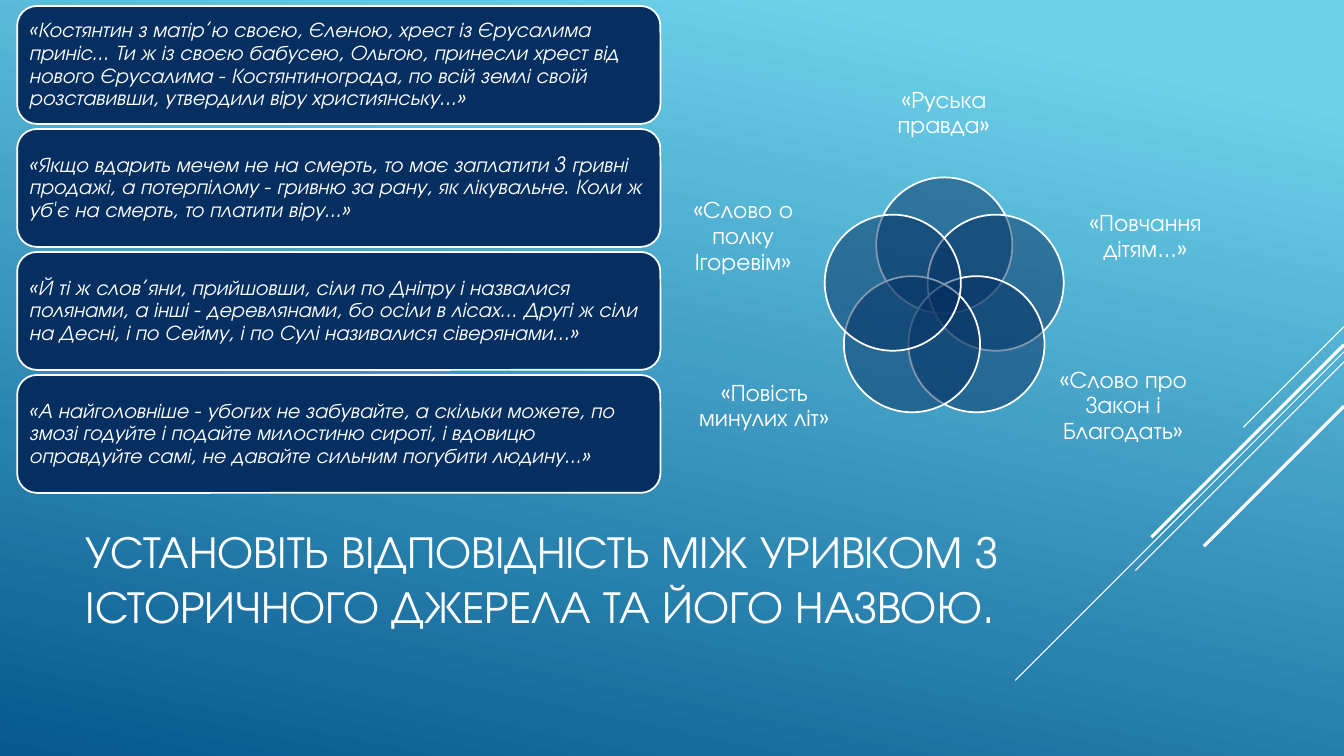
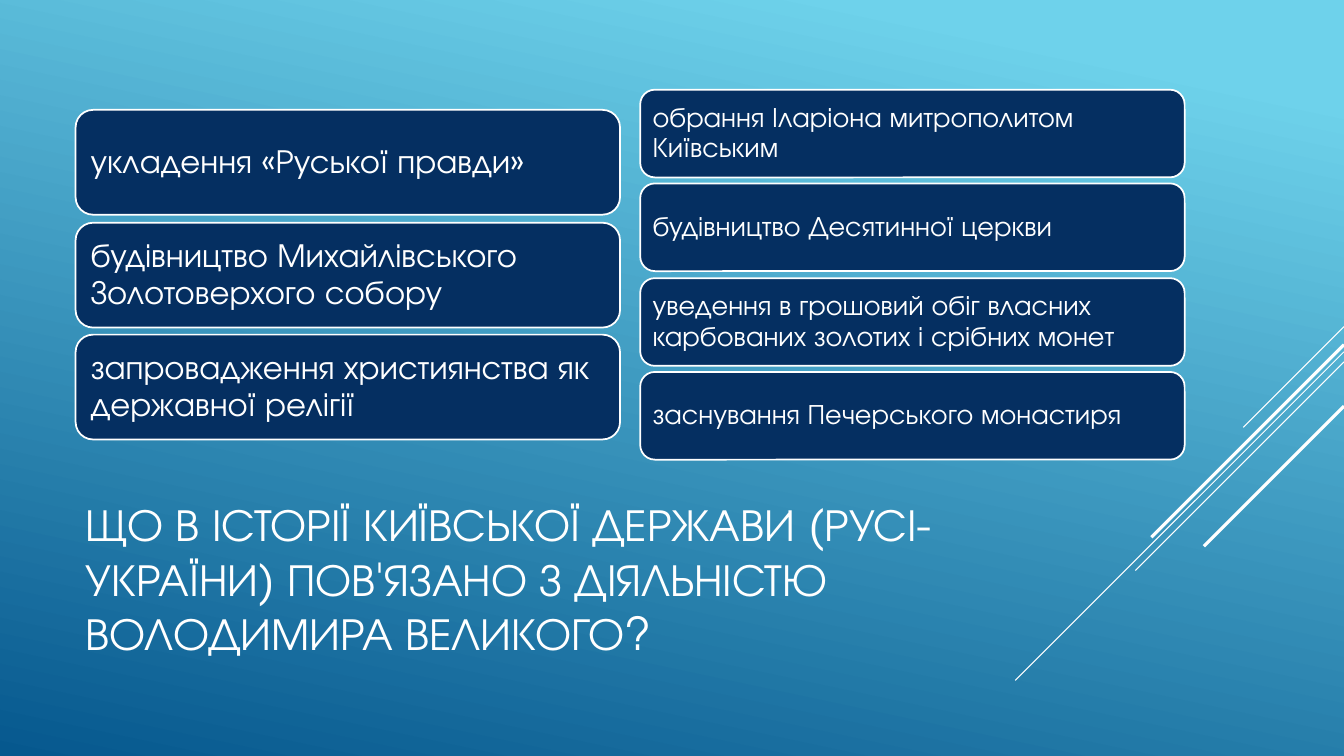
"""Build two quiz slides on the history of Kyivan Rus."""
from dataclasses import dataclass
from math import cos, radians, sin

from lxml import etree
from pptx import Presentation
from pptx.dml.color import RGBColor
from pptx.enum.shapes import MSO_CONNECTOR, MSO_SHAPE
from pptx.enum.text import MSO_ANCHOR, MSO_AUTO_SIZE, PP_ALIGN
from pptx.oxml.ns import qn
from pptx.presentation import Presentation as Deck
from pptx.shapes.autoshape import Shape
from pptx.slide import Slide, SlideLayout
from pptx.util import Emu, Pt

ROUNDED = MSO_SHAPE.ROUNDED_RECTANGLE
OVAL = MSO_SHAPE.OVAL
STRAIGHT = MSO_CONNECTOR.STRAIGHT
MIDDLE = MSO_ANCHOR.MIDDLE
NO_AUTOSIZE = MSO_AUTO_SIZE.NONE
LEFT = PP_ALIGN.LEFT
CENTER = PP_ALIGN.CENTER

EMU_PER_PX = 9144
SLIDE_WIDTH, SLIDE_HEIGHT = 1333, 750
TITLE_ONLY = 5
FIRST_RAY_ID = 101


@dataclass(frozen=True)
class Theme:
    """Colours, font and type sizes of the deck."""
    sky: RGBColor = RGBColor(0x6E, 0xD2, 0xEB)
    deep: RGBColor = RGBColor(0x06, 0x58, 0x8E)
    navy: RGBColor = RGBColor(0x05, 0x2F, 0x61)
    white: RGBColor = RGBColor(0xFF, 0xFF, 0xFF)
    font: str = "TeX Gyre Adventor"
    title_size: float = 32.4
    quote_size: float = 15
    label_size: float = 17
    large_size: float = 24
    medium_size: float = 20
    outline: float = 1.25
    line_spacing: float = 0.9
    gradient_angle: int = 258


@dataclass(frozen=True)
class Box:
    """A rectangle in px."""
    left: int
    top: int
    width: int
    height: int

    def emu(self) -> tuple[Emu, Emu, Emu, Emu]:
        """Return the rectangle in EMU."""
        return px(self.left), px(self.top), px(self.width), px(self.height)


@dataclass(frozen=True)
class Ray:
    """A diagonal line that falls leftwards from the right edge."""
    top: int
    reach: int
    weight: float


@dataclass(frozen=True)
class CardStack:
    """A column of cards spread evenly from the first to the last top."""
    left: int
    first_top: int
    last_top: int
    width: int
    height: int
    margin: int
    size: float
    texts: tuple[str, ...]
    italic: bool = False


@dataclass(frozen=True)
class Petal:
    """A label that belongs to one circle of the flower."""
    text: str
    label: Box


THEME = Theme()
TITLE_BOX = Box(75, 491, 933, 165)
RAYS = (
    Ray(324, 100, 0.75),
    Ray(349, 326, 0.75),
    Ray(359, 207, 0.75),
    Ray(342, 191, 2.25),
    Ray(403, 139, 2.25),
)

QUOTES = CardStack(17, 6, 372, 638, 117, 6, THEME.quote_size, (
    "«Костянтин з матір’ю своєю, Єленою, хрест із Єрусалима приніс... Ти ж із своєю "
    "бабусею, Ольгою, принесли хрест від нового Єрусалима - Костянтинограда, по всій "
    "землі своїй розставивши, утвердили віру християнську...»",
    "«Якщо вдарить мечем не на смерть, то має заплатити 3 гривні продажі, а потерпілому "
    "- гривню за рану, як лікувальне. Коли ж уб'є на смерть, то платити віру...»",
    "«Й ті ж слов’яни, прийшовши, сіли по Дніпру і назвалися полянами, а інші - "
    "деревлянами, бо осіли в лісах... Другі ж сіли на Десні, і по Сейму, і по Сулі "
    "називалися сіверянами...»",
    "«А найголовніше - убогих не забувайте, а скільки можете, по змозі годуйте і подайте "
    "милостиню сироті, і вдовицю оправдуйте самі, не давайте сильним погубити людину...»",
), italic=True)

CIRCLE_SIZE = 135
FLOWER_RADIUS = 54
FLOWER_LEFT, FLOWER_TOP = 869, 230
PETALS = (
    Petal("«Руська правда»", Box(858, 67, 156, 91)),
    Petal("«Повчання дітям...»", Box(1066, 186, 140, 98)),
    Petal("«Слово про Закон і Благодать»", Box(1044, 354, 140, 98)),
    Petal("«Повість минулих літ»", Box(688, 354, 140, 98)),
    Petal("«Слово о полку Ігоревім»", Box(667, 186, 140, 98)),
)

EVENTS = (
    CardStack(75, 109, 332, 540, 104, 10, THEME.large_size, (
        "укладення «Руської правди»",
        "будівництво Михайлівського Золотоверхого собору",
        "запровадження християнства як державної релігії",
    )),
    CardStack(635, 89, 369, 540, 87, 8, THEME.medium_size, (
        "обрання Іларіона митрополитом Київським",
        "будівництво Десятинної церкви",
        "уведення в грошовий обіг власних карбованих золотих і срібних монет",
        "заснування Печерського монастиря",
    )),
)


def px(length: int) -> Emu:
    """Turn px into EMU."""
    return Emu(length * EMU_PER_PX)


def write_text(shape: Shape, text: str, size: float, align: PP_ALIGN = LEFT,
               spacing: float = THEME.line_spacing, margin: int = 0,
               italic: bool = False) -> None:
    """Put one formatted paragraph in the vertical middle of a shape."""
    frame = shape.text_frame
    frame.text = text
    frame.word_wrap = True
    frame.auto_size = NO_AUTOSIZE
    frame.vertical_anchor = MIDDLE
    frame.margin_left = frame.margin_right = px(margin)
    frame.margin_top = frame.margin_bottom = px(margin)
    paragraph = frame.paragraphs[0]
    paragraph.alignment = align
    paragraph.line_spacing = spacing
    font = paragraph.font
    font.name = THEME.font
    font.size = Pt(size)
    font.italic = italic
    font.color.rgb = THEME.white


def add_outlined(slide: Slide, kind: MSO_SHAPE, box: Box) -> Shape:
    """Add a navy shape with a white outline."""
    shape = slide.shapes.add_shape(kind, *box.emu())
    shape.shadow.inherit = False
    shape.fill.solid()
    shape.fill.fore_color.rgb = THEME.navy
    shape.line.color.rgb = THEME.white
    shape.line.width = Pt(THEME.outline)
    return shape


def add_cards(slide: Slide, stack: CardStack) -> None:
    """Draw a column of text cards."""
    pitch = (stack.last_top - stack.first_top) / (len(stack.texts) - 1)
    for index, text in enumerate(stack.texts):
        top = stack.first_top + round(index * pitch)
        card = add_outlined(slide, ROUNDED, Box(stack.left, top, stack.width, stack.height))
        write_text(card, text, stack.size, margin=stack.margin, italic=stack.italic)


def add_flower(slide: Slide) -> None:
    """Draw the ring of overlapping circles and their labels."""
    for index, petal in enumerate(PETALS):
        angle = radians(index * 360 / len(PETALS))
        left = FLOWER_LEFT + round(FLOWER_RADIUS * sin(angle))
        top = FLOWER_TOP - round(FLOWER_RADIUS * cos(angle))
        circle = add_outlined(slide, OVAL, Box(left, top, CIRCLE_SIZE, CIRCLE_SIZE))
        color = circle.element.spPr.find(f"{qn('a:solidFill')}/{qn('a:srgbClr')}")
        etree.SubElement(color, qn("a:alpha")).set("val", "50000")
        label = slide.shapes.add_textbox(*petal.label.emu())
        write_text(label, petal.text, THEME.label_size, CENTER)


def add_master_rays(presentation: Deck, slide: Slide) -> None:
    """Draw the diagonal rays and hand them to the slide master."""
    for ray_id, ray in enumerate(RAYS, FIRST_RAY_ID):
        connector = slide.shapes.add_connector(
            STRAIGHT, px(SLIDE_WIDTH), px(ray.top),
            px(SLIDE_WIDTH - ray.reach), px(ray.top + ray.reach))
        connector.line.color.rgb = THEME.white
        connector.line.width = Pt(ray.weight)
        element = connector.element
        etree.SubElement(element.spPr, qn("a:effectLst"))
        element.nvCxnSpPr.cNvPr.set("id", str(ray_id))
        presentation.slide_master.shapes.element.append(element)


def prepare_layout(presentation: Deck) -> SlideLayout:
    """Set the shared background and the place of the title."""
    fill = presentation.slide_master.background.fill
    fill.gradient()
    fill.gradient_angle = THEME.gradient_angle
    for stop, color, position in zip(fill.gradient_stops, (THEME.sky, THEME.deep), (0.1, 1)):
        stop.color.rgb = color
        stop.position = position
    layout = presentation.slide_layouts[TITLE_ONLY]
    title = layout.placeholders[0]
    title.left, title.top, title.width, title.height = TITLE_BOX.emu()
    return layout


def add_titled_slide(presentation: Deck, layout: SlideLayout, title: str) -> Slide:
    """Add a slide with its title."""
    slide = presentation.slides.add_slide(layout)
    write_text(slide.shapes.title, title, THEME.title_size, spacing=1.0, margin=10)
    return slide


def main() -> None:
    """Build and save the deck."""
    presentation = Presentation()
    presentation.slide_width, presentation.slide_height = px(SLIDE_WIDTH), px(SLIDE_HEIGHT)
    layout = prepare_layout(presentation)

    sources = add_titled_slide(
        presentation, layout,
        "УСТАНОВІТЬ ВІДПОВІДНІСТЬ МІЖ УРИВКОМ З ІСТОРИЧНОГО ДЖЕРЕЛА ТА ЙОГО НАЗВОЮ.")
    add_master_rays(presentation, sources)
    add_cards(sources, QUOTES)
    add_flower(sources)

    events = add_titled_slide(
        presentation, layout,
        "ЩО В ІСТОРІЇ КИЇВСЬКОЇ ДЕРЖАВИ (РУСІ-УКРАЇНИ) ПОВ'ЯЗАНО З ДІЯЛЬНІСТЮ "
        "ВОЛОДИМИРА ВЕЛИКОГО?")
    for stack in EVENTS:
        add_cards(events, stack)

    presentation.save("out.pptx")


if __name__ == "__main__":
    main()
